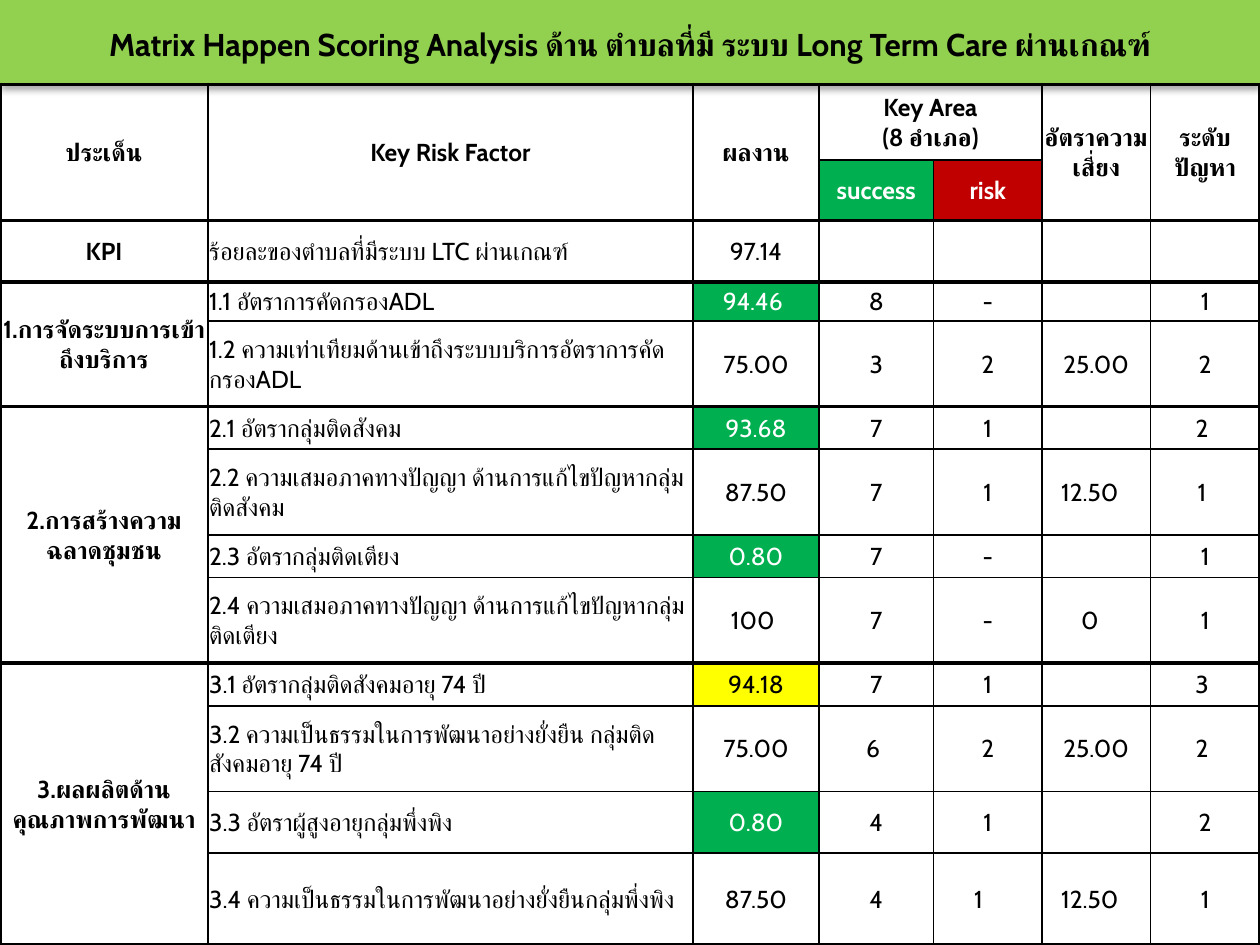
import pptx
import pptx.dml.color
import pptx.enum.shapes
import pptx.enum.text
import pptx.oxml
import pptx.oxml.ns
import pptx.util
from lxml import etree

Inches = pptx.util.Inches
RGBColor = pptx.dml.color.RGBColor
PP_ALIGN = pptx.enum.text.PP_ALIGN
MIDDLE = pptx.enum.text.MSO_ANCHOR.MIDDLE
qn = pptx.oxml.ns.qn

BLACK = RGBColor(0x00, 0x00, 0x00)
WHITE = RGBColor(0xFF, 0xFF, 0xFF)
LIME = RGBColor(0x92, 0xD0, 0x50)
GREEN = RGBColor(0x00, 0xB0, 0x50)
RED = RGBColor(0xC0, 0x00, 0x00)
YELLOW = RGBColor(0xFF, 0xFF, 0x00)

FONT = "Cabin"
THIN, THICK = 1, 2.25
SPACE_WIDTH = 0.05
TITLE = "Matrix Happen Scoring Analysis ด้าน ตำบลที่มี ระบบ Long Term Care ผ่านเกณฑ์"
COLUMN_WIDTHS = [1.65, 3.85, 1, 0.91, 0.86, 0.86, 0.87]
ROW_HEIGHTS = [0.6, 0.48, 0.49, 0.31, 0.68, 0.34, 0.68, 0.34, 0.68, 0.34, 0.68, 0.49, 0.73]
SCORES = [
    ["ประเด็น", "Key Risk Factor", "ผลงาน", "Key Area\n(8 อำเภอ)", "", "อัตราความเสี่ยง", "ระดับปัญหา"],
    ["", "", "", "success", "risk", "", ""],
    ["KPI", "ร้อยละของตำบลที่มีระบบ LTC ผ่านเกณฑ์", "97.14", "", "", "", ""],
    ["1.การจัดระบบการเข้าถึงบริการ", "1.1 อัตราการคัดกรองADL", "94.46", "8", "-", "", "1"],
    ["", "1.2 ความเท่าเทียมด้านเข้าถึงระบบบริการอัตราการคัดกรองADL", "75.00", "3", "2", "25.00", "2"],
    ["2.การสร้างความฉลาดชุมชน", "2.1 อัตรากลุ่มติดสังคม", "93.68", "7", "1", "", "2"],
    ["", "2.2 ความเสมอภาคทางปัญญา ด้านการแก้ไขปัญหากลุ่มติดสังคม", "87.50", "7", "1", "12.50", "1"],
    ["", "2.3 อัตรากลุ่มติดเตียง", "0.80", "7", "-", "", "1"],
    ["", "2.4 ความเสมอภาคทางปัญญา ด้านการแก้ไขปัญหากลุ่มติดเตียง", "100", "7", "-", "0", "1"],
    ["3.ผลผลิตด้านคุณภาพการพัฒนา", "3.1 อัตรากลุ่มติดสังคมอายุ 74 ปี", "94.18", "7", "1", "", "3"],
    ["", "3.2 ความเป็นธรรมในการพัฒนาอย่างยั่งยืน กลุ่มติดสังคมอายุ 74 ปี", "75.00", "6", "2", "25.00", "2"],
    ["", "3.3 อัตราผู้สูงอายุกลุ่มพึ่งพิง", "0.80", "4", "1", "", "2"],
    ["", "3.4 ความเป็นธรรมในการพัฒนาอย่างยั่งยืนกลุ่มพึ่งพิง", "87.50", "4", "1", "12.50", "1"],
]
HEADER_ROWS = 2
SECTION_ENDS = {1, 2, 4, 8, 12}
MERGES = [(0, col, 1, col) for col in (0, 1, 2, 5, 6)] + [
    (0, 3, 0, 4), (3, 0, 4, 0), (5, 0, 8, 0), (9, 0, 12, 0)]
FILLS = {(1, 3): GREEN, (1, 4): RED, (3, 2): GREEN, (5, 2): GREEN,
         (7, 2): GREEN, (9, 2): YELLOW, (11, 2): GREEN}
LEFT_SHIFTS = {(3, 2): 1, (5, 6): 1, (6, 5): 2, (6, 6): 1, (8, 2): 1, (8, 5): 2,
               (9, 6): 1, (10, 3): 1, (10, 6): 1, (12, 4): 3, (12, 5): 2}


def write_text(frame, text, size=14, color=BLACK, bold=False, align=PP_ALIGN.CENTER):
    for index, line in enumerate(text.split("\n")):
        paragraph = frame.add_paragraph() if index else frame.paragraphs[0]
        paragraph.alignment = align
        run = paragraph.add_run()
        run.text = line
        run.font.name = FONT
        run.font.size = pptx.util.Pt(size)
        run.font.bold = bold
        run.font.color.rgb = color
        script_font = etree.SubElement(run.font._element, qn("a:cs"))
        script_font.set("typeface", FONT)


def add_banner_shadow(banner):
    properties = banner._element.spPr
    banner.shadow.inherit = False
    effects = properties.find(qn("a:effectLst"))
    shadow = etree.SubElement(effects, qn("a:outerShdw"), blurRad=str(pptx.util.Pt(4)),
                              dist=str(pptx.util.Pt(2.2)), dir="5400000", rotWithShape="0")
    shade = etree.SubElement(shadow, qn("a:srgbClr"), val=str(BLACK))
    etree.SubElement(shade, qn("a:alpha"), val="32000")


def add_title(slide, left, top, width, height):
    group = slide.shapes.add_group_shape()
    banner = group.shapes.add_shape(
        pptx.enum.shapes.MSO_SHAPE.RECTANGLE, left, top, width, height)
    banner.fill.solid()
    banner.fill.fore_color.rgb = LIME
    banner.line.fill.background()
    add_banner_shadow(banner)
    heading = group.shapes.add_textbox(left, top + Inches(0.14), width, Inches(0.41))
    frame = heading.text_frame
    frame.word_wrap = True
    frame.auto_size = pptx.enum.text.MSO_AUTO_SIZE.SHAPE_TO_FIT_TEXT
    frame.vertical_anchor = MIDDLE
    frame.margin_left = frame.margin_right = Inches(0.05)
    frame.margin_top = frame.margin_bottom = Inches(0.05)
    write_text(frame, TITLE, size=18, bold=True)


def set_borders(cell, **widths):
    properties = cell._tc.get_or_add_tcPr()
    for index, (side, width) in enumerate(widths.items()):
        border = pptx.oxml.parse_xml(
            f'<a:{side} xmlns:a="http://schemas.openxmlformats.org/drawingml/2006/main" '
            f'w="{pptx.util.Pt(width)}"><a:solidFill><a:srgbClr val="{BLACK}"/></a:solidFill></a:{side}>')
        properties.insert(index, border)


def format_cell(cell, row, col, last_row):
    cell.vertical_anchor = MIDDLE
    cell.margin_left = cell.margin_top = Inches(0.01)
    cell.margin_right = Inches(0.01 + SPACE_WIDTH * LEFT_SHIFTS.get((row, col), 0))
    cell.margin_bottom = 0
    fill = FILLS.get((row, col))
    if fill:
        cell.fill.solid()
        cell.fill.fore_color.rgb = fill
    else:
        cell.fill.background()
    set_borders(
        cell,
        lnL=THICK if col == 0 else THIN,
        lnR=THICK if col == len(COLUMN_WIDTHS) - 1 else THIN,
        lnT=THICK if row == 0 or row - 1 in SECTION_ENDS else THIN,
        lnB=THICK if last_row in SECTION_ENDS else THIN)
    is_factor = col == 1 and row >= HEADER_ROWS
    write_text(
        cell.text_frame, SCORES[row][col],
        color=WHITE if fill in (GREEN, RED) else BLACK,
        bold=row < HEADER_ROWS or col == 0,
        align=PP_ALIGN.LEFT if is_factor else PP_ALIGN.CENTER)


def add_score_matrix(slide, left, top, width, height):
    matrix = slide.shapes.add_table(
        len(ROW_HEIGHTS), len(COLUMN_WIDTHS), left, top, width, height).table
    matrix.first_row = matrix.horz_banding = False
    for column, share in zip(matrix.columns, COLUMN_WIDTHS):
        column.width = int(width * share / sum(COLUMN_WIDTHS))
    for table_row, share in zip(matrix.rows, ROW_HEIGHTS):
        table_row.height = int(height * share / sum(ROW_HEIGHTS))
    for first_row, first_col, last_row, last_col in MERGES:
        matrix.cell(first_row, first_col).merge(matrix.cell(last_row, last_col))
    for row in range(len(ROW_HEIGHTS)):
        for col in range(len(COLUMN_WIDTHS)):
            cell = matrix.cell(row, col)
            last_row = row + cell.span_height - 1 if cell.is_merge_origin else row
            format_cell(cell, row, col, last_row)


def main():
    presentation = pptx.Presentation()
    presentation.slide_width = Inches(10)
    presentation.slide_height = Inches(7.5)
    slide = presentation.slides.add_slide(presentation.slide_layouts[6])
    add_title(slide, 0, 0, Inches(10), Inches(0.68))
    add_score_matrix(slide, 0, Inches(0.67), Inches(10), Inches(6.83))
    presentation.save("out.pptx")


if __name__ == "__main__":
    main()
